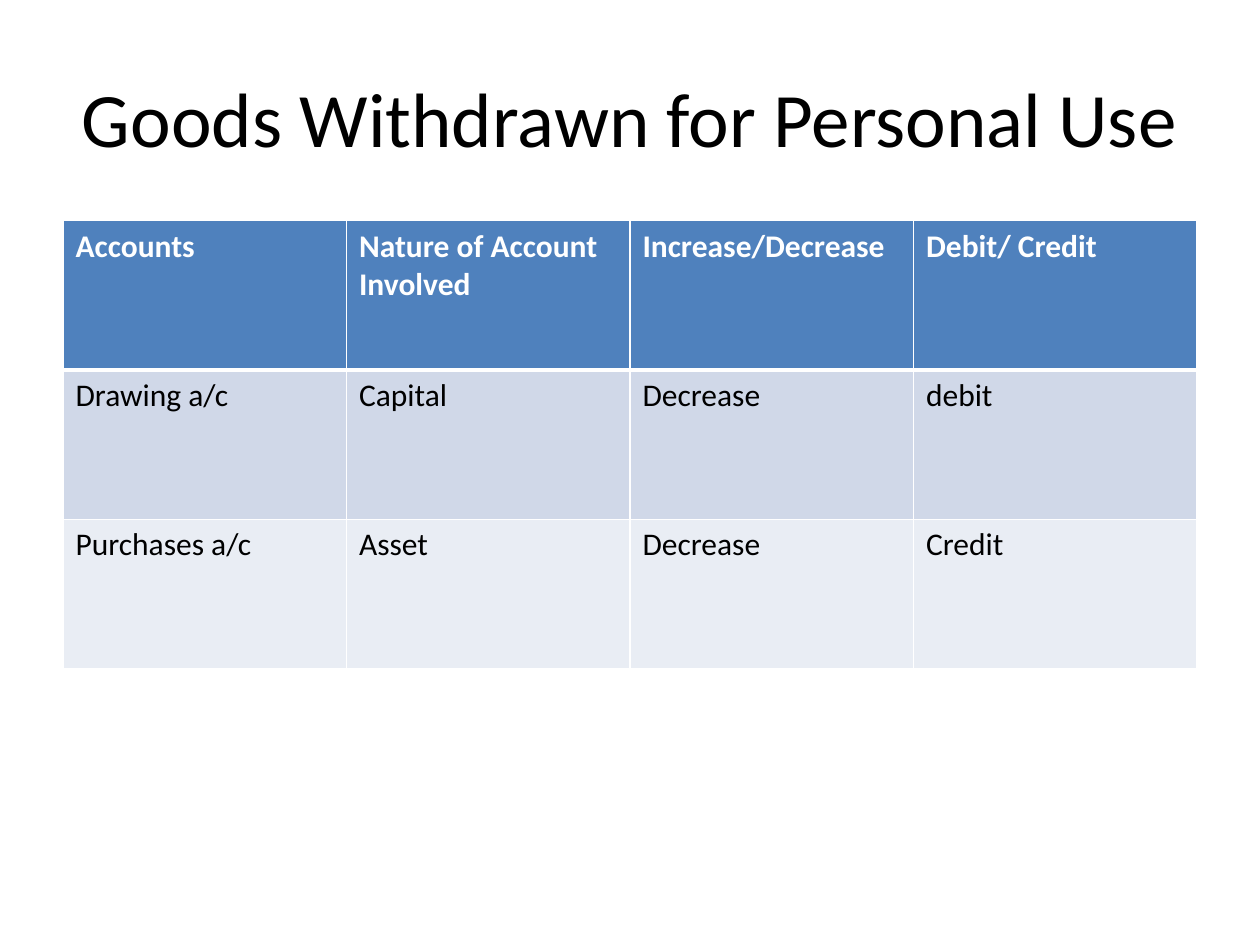
from lxml import etree
from pptx import Presentation
from pptx.dml.color import RGBColor
from pptx.enum import text
from pptx.oxml import ns
from pptx.util import Cm, Pt

FONT = "Calibri"
BLACK = RGBColor(0x00, 0x00, 0x00)
WHITE = RGBColor(0xFF, 0xFF, 0xFF)
HEADER_BLUE = RGBColor(0x4F, 0x81, 0xBD)
BAND_DARK = RGBColor(0xD0, 0xD8, 0xE8)
BAND_LIGHT = RGBColor(0xE9, 0xED, 0xF4)

LEFT, WIDTH = Cm(1.27), Cm(22.86)
ROW_HEIGHT = Cm(3.01)
ENTRIES = [
    ["Accounts", "Nature of Account Involved", "Increase/Decrease", "Debit/ Credit"],
    ["Drawing a/c", "Capital", "Decrease", "debit"],
    ["Purchases a/c", "Asset", "Decrease", "Credit"],
]


def style_font(font, size, color, bold=False):
    font.name = FONT
    font.size = Pt(size)
    font.color.rgb = color
    font.bold = bold


def add_title(page, wording):
    box = page.shapes.add_textbox(LEFT, Cm(0.76), WIDTH, Cm(3.18))
    frame = box.text_frame
    frame.word_wrap = True
    frame.vertical_anchor = text.MSO_ANCHOR.MIDDLE
    frame.text = wording
    para = frame.paragraphs[0]
    para.alignment = text.PP_ALIGN.CENTER
    style_font(para.runs[0].font, 44, BLACK)


def set_borders(cell, **widths):
    """Draw white cell borders; widths are points for L, R, T and B in that order."""
    properties = cell._tc.get_or_add_tcPr()
    for index, (side, width) in enumerate(widths.items()):
        line = etree.Element(ns.qn(f"a:ln{side}"), w=str(Pt(width)))
        fill = etree.SubElement(line, ns.qn("a:solidFill"))
        etree.SubElement(fill, ns.qn("a:srgbClr"), val=str(WHITE))
        properties.insert(index, line)


def add_accounts_table(page):
    table = page.shapes.add_table(
        len(ENTRIES), len(ENTRIES[0]), LEFT, Cm(4.45), WIDTH, ROW_HEIGHT * len(ENTRIES)
    ).table
    row_fills = [HEADER_BLUE, BAND_DARK, BAND_LIGHT]
    for row, (entries, color) in enumerate(zip(ENTRIES, row_fills)):
        is_header = row == 0
        for column, entry in enumerate(entries):
            cell = table.cell(row, column)
            cell.text = entry
            style_font(cell.text_frame.paragraphs[0].runs[0].font, 18,
                       WHITE if is_header else BLACK, is_header)
            cell.fill.solid()
            cell.fill.fore_color.rgb = color
            set_borders(cell, L=1, R=1, T=3 if row == 1 else 1, B=3 if is_header else 1)


def main():
    deck = Presentation()
    deck.slide_width, deck.slide_height = Cm(25.4), Cm(19.05)
    page = deck.slides.add_slide(deck.slide_layouts[6])
    add_title(page, "Goods Withdrawn for Personal Use")
    add_accounts_table(page)
    deck.save("out.pptx")


if __name__ == "__main__":
    main()
